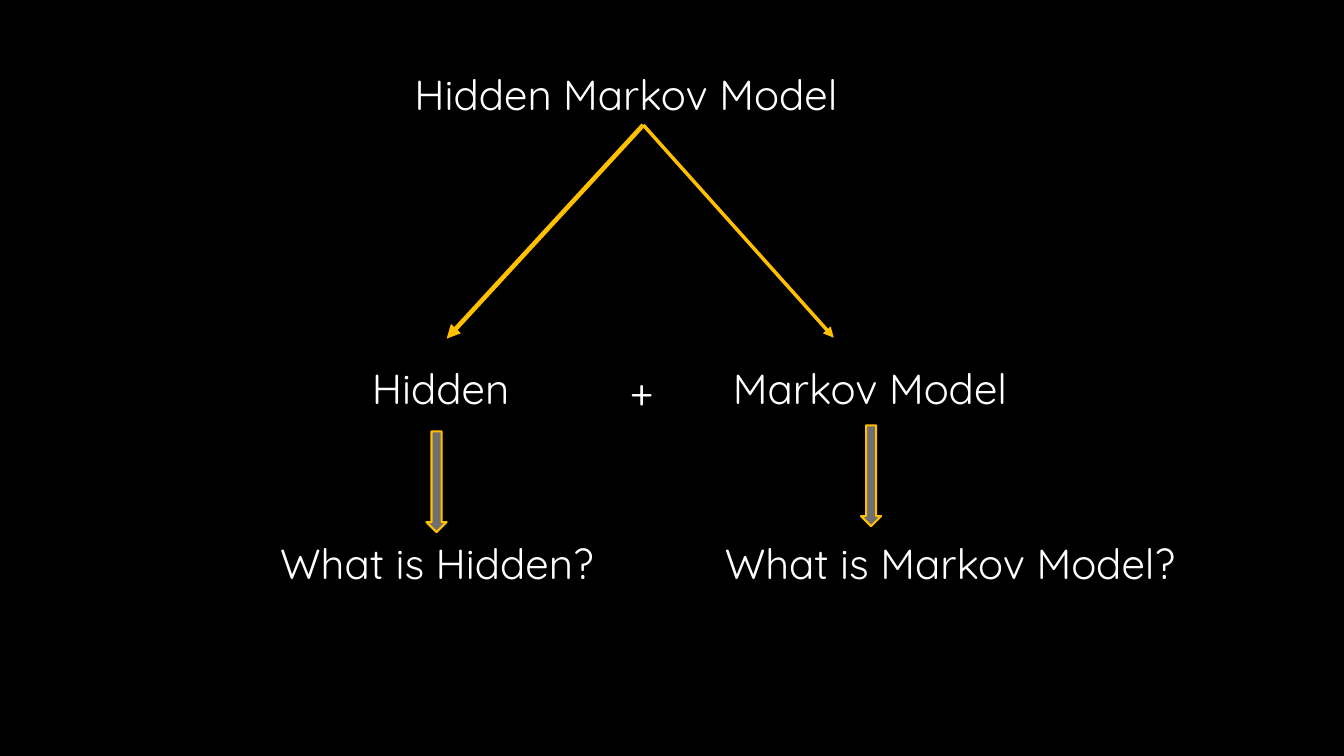
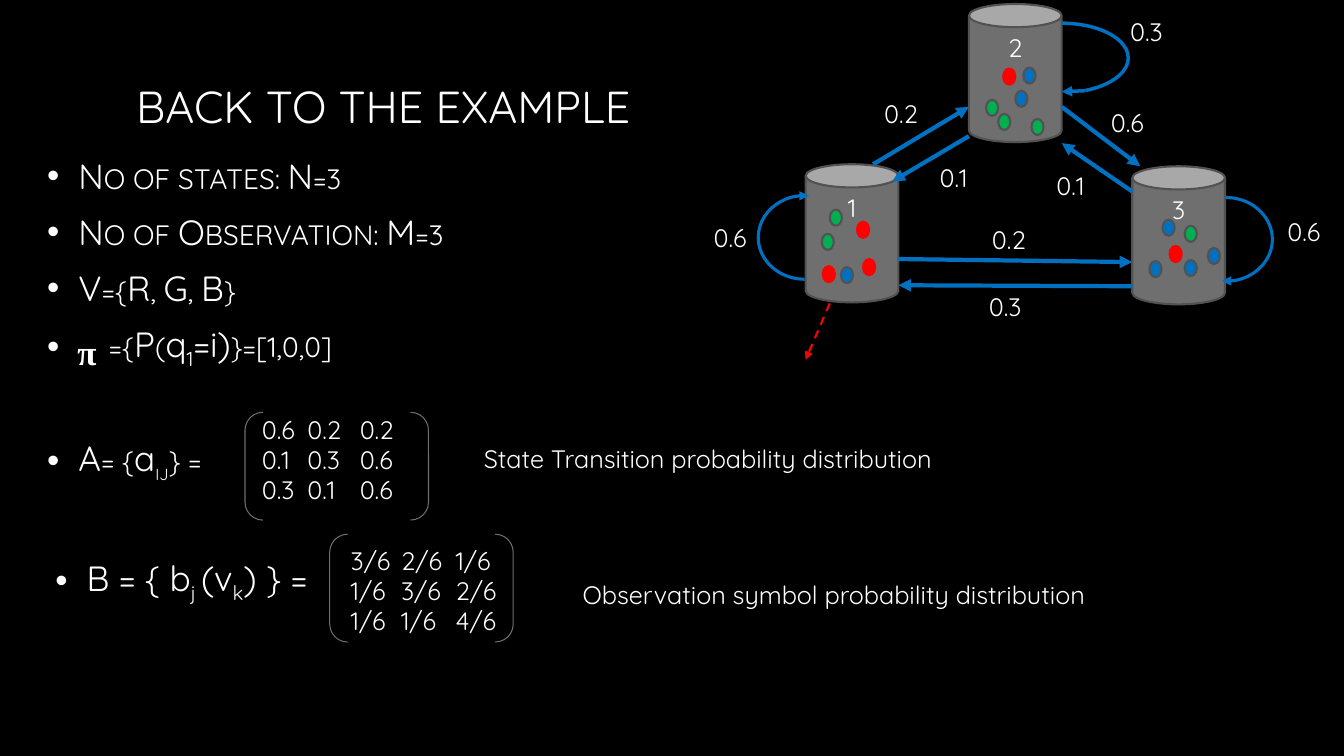
from lxml.etree import SubElement
from pptx import Presentation
from pptx.dml.color import RGBColor
from pptx.enum.dml import MSO_LINE
from pptx.enum.shapes import MSO_CONNECTOR, MSO_SHAPE
from pptx.enum.text import MSO_ANCHOR, MSO_AUTO_SIZE, PP_ALIGN
from pptx.oxml.ns import qn
from pptx.util import Inches, Pt

COLORS = {
    "back": "000000",
    "text": "FFFFFF",
    "accent": "FFC000",
    "gray": "6F6F6F",
    "edge": "525252",
    "red": "FF0000",
    "blue": "0070C0",
    "green": "00B050",
}
FONT = "Quicksand"
SMALL_CAPS = {"cap": "small"}
SUBSCRIPT = {"baseline": "-25000"}
HANGING = 0.31


def color(name):
    return RGBColor.from_string(COLORS[name])


def assign(target, values):
    for name, value in values.items():
        setattr(target, name, value)


class Board:
    def __init__(self):
        self.deck = Presentation()
        assign(self.deck, {"slide_width": Inches(13.33), "slide_height": Inches(7.5)})
        fill = self.deck.slide_master.background.fill
        fill.solid()
        fill.fore_color.rgb = color("back")
        self.page = None

    def add_page(self, title, size, left, top, width, height):
        self.page = self.deck.slides.add_slide(self.deck.slide_layouts[5])
        box = self.page.shapes.title
        assign(box, {"left": Inches(left), "top": Inches(top),
                     "width": Inches(width), "height": Inches(height)})
        assign(box.text_frame, {"vertical_anchor": MSO_ANCHOR.MIDDLE,
                                "auto_size": MSO_AUTO_SIZE.NONE, "word_wrap": True})
        self.add_spans(box.text_frame.paragraphs[0], [(title, {})], size)
        return box

    def add_spans(self, para, spans, size, align=PP_ALIGN.LEFT, font=FONT, bold=False):
        para.alignment = align
        for text, marks in spans:
            span = para.add_run()
            span.text = text
            assign(span.font, {"name": font, "size": Pt(size), "bold": bold})
            span.font.color.rgb = color("text")
            for name, value in marks.items():
                span._r.get_or_add_rPr().set(name, value)

    def box(self, left, top, width, height, wrap=True, anchor=MSO_ANCHOR.TOP):
        box = self.page.shapes.add_textbox(
            Inches(left), Inches(top), Inches(width), Inches(height))
        assign(box.text_frame, {"word_wrap": wrap, "vertical_anchor": anchor})
        return box.text_frame

    def label(self, text, left, top, width, size, **style):
        height = round(size / 72 * 1.22 + 0.1, 2)
        frame = self.box(left, top, width, height, wrap=False)
        self.add_spans(frame.paragraphs[0], [(text, {})], size, **style)

    def bullets(self, items, left, top, width, height, anchor=MSO_ANCHOR.TOP):
        frame = self.box(left, top, width, height, anchor=anchor)
        for number, (spans, before, hanging) in enumerate(items):
            para = frame.add_paragraph() if number else frame.paragraphs[0]
            props = para._p.get_or_add_pPr()
            props.set("marL", str(Inches(hanging)))
            props.set("indent", str(-Inches(hanging)))
            SubElement(props, qn("a:buFont"), typeface="Arial")
            SubElement(props, qn("a:buChar"), char="•")
            if number:
                para.space_before = Pt(before)
            self.add_spans(para, spans, 25)

    def matrix(self, rows, stops, left, top, width, bracket_left, bracket_top):
        frame = self.box(left, top, width, 1.01)
        for number, row in enumerate(rows):
            para = frame.add_paragraph() if number else frame.paragraphs[0]
            tabs = SubElement(para._p.get_or_add_pPr(), qn("a:tabLst"))
            for stop in stops:
                SubElement(tabs, qn("a:tab"), pos=str(Inches(stop)), algn="l")
            self.add_spans(para, [("\t".join(row.split()), {})], 18)
        self.shape(MSO_SHAPE.DOUBLE_BRACKET, bracket_left, bracket_top, 1.82, 1.07,
                   None, "gray", 0.75)

    def shape(self, kind, left, top, width, height, fill, line, weight):
        shape = self.page.shapes.add_shape(
            kind, Inches(left), Inches(top), Inches(width), Inches(height))
        shape.shadow.inherit = False
        if fill:
            shape.fill.solid()
            shape.fill.fore_color.rgb = color(fill)
        else:
            shape.fill.background()
        self.outline(shape, line, weight)
        return shape

    def outline(self, shape, line, weight, dash=None, arrow=False):
        shape.line.color.rgb = color(line)
        shape.line.width = Pt(weight)
        if dash:
            shape.line.dash_style = dash
        if arrow:
            SubElement(shape.line._get_or_add_ln(), qn("a:tailEnd"), type="triangle")

    def arrow(self, start, end, line, weight, dash=None, source=None):
        arrow = self.page.shapes.add_connector(
            MSO_CONNECTOR.STRAIGHT, *(Inches(value) for value in (*start, *end)))
        self.outline(arrow, line, weight, dash, arrow=True)
        SubElement(arrow._element.spPr, qn("a:effectLst"))
        if source:
            arrow.begin_connect(source, 2)

    def loop(self, left, top, width, height, end, weight, rotation=0, arrow=True):
        arc = self.shape(MSO_SHAPE.ARC, left, top, width, height, None, "blue", weight)
        arc.adjustments[0] = 162
        arc.adjustments[1] = end
        arc.rotation = rotation
        if arrow:
            self.outline(arc, "blue", weight, arrow=True)

    def urn(self, name, left, top):
        can = self.shape(MSO_SHAPE.CAN, left, top, 0.92, 1.37, "gray", "edge", 1.5)
        can.text_frame.vertical_anchor = MSO_ANCHOR.TOP
        self.add_spans(can.text_frame.paragraphs[0], [(name, {})], 18, PP_ALIGN.CENTER)


def add_breakdown(board):
    title = board.add_page("Hidden Markov Model", 30, 4.01, 0.63, 4.74, 0.61)
    for end, weight in (((4.43, 3.36), 3.25), ((8.27, 3.35), 2.5)):
        board.arrow((6.38, 1.24), end, "accent", weight, source=title)
    for text, left, top, width in (
        ("Hidden", 3.59, 3.55, 1.68),
        ("+", 6.15, 3.57, 0.46),
        ("Markov Model", 7.17, 3.55, 3.15),
        ("What is Hidden?", 2.68, 5.28, 3.49),
        ("What is Markov Model?", 7.09, 5.28, 4.96),
    ):
        board.label(text, left, top, width, 30)
    for left, top in ((4.23, 4.28), (8.54, 4.22)):
        board.shape(MSO_SHAPE.DOWN_ARROW, left, top, 0.2, 1, "gray", "accent", 1.5)


def add_urns(board):
    for name, left, top in (("2", 9.61, 0.04), ("1", 7.99, 1.63), ("3", 11.23, 1.65)):
        board.urn(name, left, top)
    for start, end in (
        ((10.53, 1.06), (11.31, 1.65)),
        ((11.23, 1.9), (10.53, 1.42)),
        ((8.66, 1.63), (9.61, 1.06)),
        ((9.61, 1.35), (8.85, 1.8)),
        ((8.91, 2.57), (11.23, 2.6)),
        ((11.23, 2.84), (8.91, 2.83)),
    ):
        board.arrow(start, end, "blue", 3)
    balls = {
        "red": ((8.5, 2.2), (8.56, 2.57), (9.95, 0.68), (11.6, 2.44), (8.16, 2.64)),
        "blue": ((11.53, 2.18), (10.07, 0.9), (11.75, 2.58), (11.4, 2.59),
                 (11.98, 2.46), (10.15, 0.67), (8.34, 2.65)),
        "green": ((10.23, 1.18), (9.9, 1.13), (9.78, 0.99), (11.75, 2.24),
                  (8.23, 2.08), (8.15, 2.32)),
    }
    for fill, places in balls.items():
        for left, top in places:
            board.shape(MSO_SHAPE.OVAL, left, top, 0.12, 0.16, fill,
                        "red" if fill == "red" else "edge", 1.5)
    board.loop(9.87, 0.23, 1.32, 0.69, 32.39, 2.5, arrow=False)
    board.arrow((10.76, 0.9), (10.53, 0.91), "blue", 2.5)
    board.loop(11.7, 1.96, 0.92, 0.83, 57.45, 2.25)
    board.loop(7.52, 1.94, 0.92, 0.83, 57.45, 2.25, rotation=180)
    for text, left, top in (
        ("0.6", 6.98, 2.16), ("0.6", 12.67, 2.1), ("0.6", 10.92, 1.02),
        ("0.1", 9.22, 1.56), ("0.1", 10.38, 1.64), ("0.2", 9.74, 2.18),
        ("0.3", 9.71, 2.84), ("0.3", 11.11, 0.11), ("0.2", 8.67, 0.93),
    ):
        board.label(text, left, top, 0.55, 18)
    board.arrow((8.23, 3.01), (7.99, 3.57), "red", 1.5, MSO_LINE.DASH)


def add_example(board):
    board.add_page("BACK TO THE EXAMPLE", 32, 1.25, 0.67, 6.01, 0.76)
    start = [("={P(", SMALL_CAPS), ("q", {}), ("1", SUBSCRIPT), ("=i)", {}),
             ("}=[1,0,0]", SMALL_CAPS)]
    transition = [("A= {", SMALL_CAPS), ("a", {}), ("ij", SMALL_CAPS | SUBSCRIPT),
                  ("} =", SMALL_CAPS)]
    board.bullets([
        ([("No of states: N=3", SMALL_CAPS)], 0, HANGING),
        ([("No of Observation: M=3", SMALL_CAPS)], 10, HANGING),
        ([("V={R, G, B}", SMALL_CAPS)], 10, HANGING),
        (start, 10, 0.61),
        (transition, 47, HANGING),
    ], 0.37, 1.46, 6.76, 3.42, MSO_ANCHOR.MIDDLE)
    board.label("π", 0.67, 3.23, 0.39, 25, font="Times New Roman", bold=True)
    add_urns(board)
    board.matrix(("0.6 0.2 0.2", "0.1 0.3 0.6", "0.3 0.1 0.6"), (0.45, 0.97),
                 2.5, 4.06, 1.6, 2.43, 4.09)
    observation = [("B = { b", {}), ("j ", SUBSCRIPT), ("(v", {}), ("k", SUBSCRIPT),
                   (") } =", {})]
    board.bullets([(observation, 0, HANGING)], 0.45, 5.47, 2.89, 0.82)
    board.matrix(("3/6 2/6 1/6", "1/6 3/6 2/6", "1/6 1/6 4/6"), (0.5, 1.04),
                 3.38, 5.36, 1.87, 3.27, 5.3)
    board.label("State Transition probability distribution", 4.7, 4.35, 4.78, 18)
    board.label("Observation symbol probability distribution", 5.68, 5.7, 5.38, 18)


def main():
    board = Board()
    add_breakdown(board)
    add_example(board)
    board.deck.save("out.pptx")


if __name__ == "__main__":
    main()
